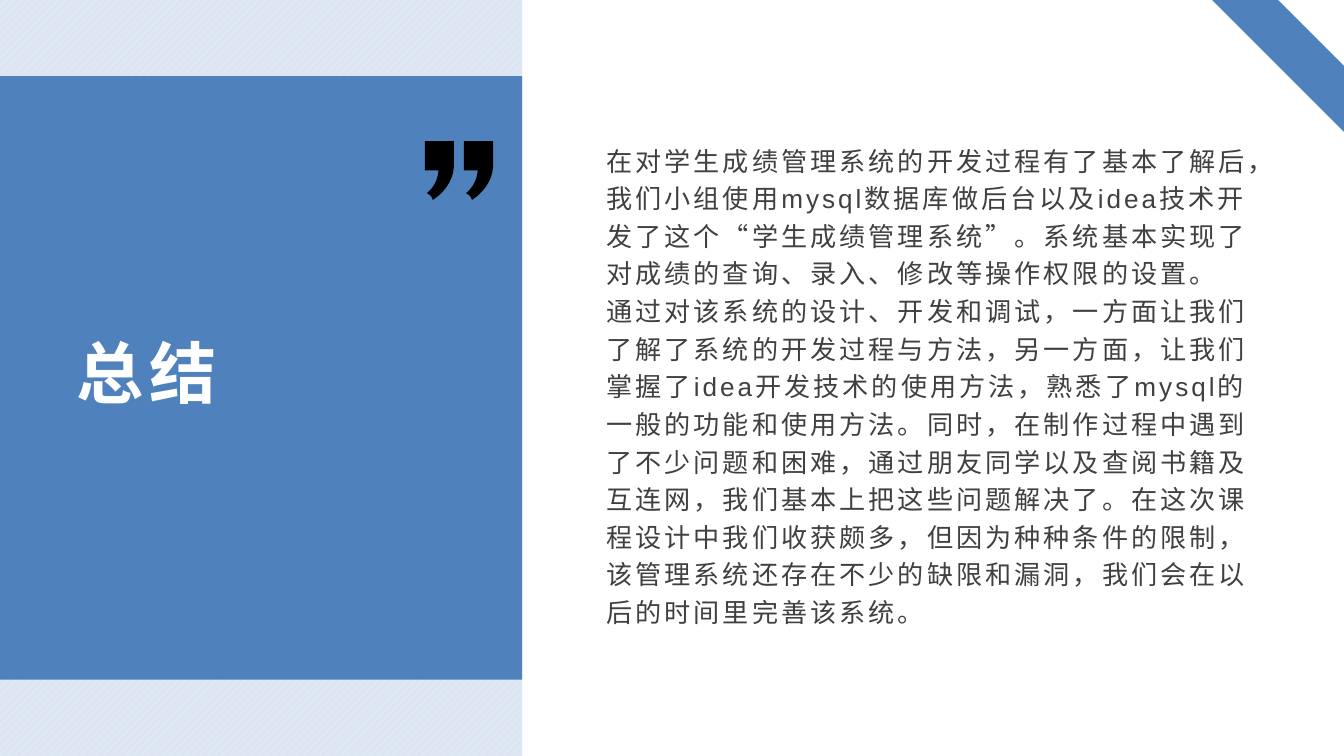
from pptx import Presentation
from pptx.dml.color import RGBColor
from pptx.enum.dml import MSO_PATTERN
from pptx.enum.lang import MSO_LANGUAGE_ID
from pptx.enum.shapes import MSO_SHAPE
from pptx.enum.text import MSO_ANCHOR
from pptx.util import Cm, Pt

RECT = MSO_SHAPE.RECTANGLE
STRIPE = MSO_SHAPE.DIAGONAL_STRIPE
HATCH = MSO_PATTERN.WIDE_UPWARD_DIAGONAL
BOTTOM, MIDDLE = MSO_ANCHOR.BOTTOM, MSO_ANCHOR.MIDDLE
CHINESE = MSO_LANGUAGE_ID.SIMPLIFIED_CHINESE

WIDTH, HEIGHT = 25.4, 14.29
PANEL_WIDTH = 9.87
BLUE, PALE_BLUE, PALE_GREY = "4F81BD", "DCE6F2", "F2F2F2"
WHITE, BLACK, DARK_GREY = "FFFFFF", "000000", "404040"

# The second sentence opens with a no-break space, which stays at the line start
SUMMARY = (
    "在对学生成绩管理系统的开发过程有了基本了解后，我们小组使用mysql数据库做后台以及idea技术"
    "开发了这个“学生成绩管理系统”。系统基本实现了对成绩的查询、录入、修改等操作权限的设置。 "
    " 通过对该系统的设计、开发和调试，一方面让我们了解了系统的开发过程与方法，另一方面，"
    "让我们掌握了idea开发技术的使用方法，熟悉了mysql的一般的功能和使用方法。"
    "同时，在制作过程中遇到了不少问题和困难，通过朋友同学以及查阅书籍及互连网，"
    "我们基本上把这些问题解决了。在这次课程设计中我们收获颇多，但因为种种条件的限制，"
    "该管理系统还存在不少的缺限和漏洞，我们会在以后的时间里完善该系统。"
)


def rgb(value):
    return RGBColor.from_string(value)


def bezier(p0, p1, p2, p3, steps=10):
    """Return points along a cubic curve, without its start."""
    points = []
    for i in range(1, steps + 1):
        t = i / steps
        weights = ((1 - t) ** 3, 3 * t * (1 - t) ** 2, 3 * t * t * (1 - t), t ** 3)
        points.append(tuple(sum(w * p[axis] for w, p in zip(weights, (p0, p1, p2, p3)))
                            for axis in (0, 1)))
    return points


# Outline of one closing quote mark, in cm from its top left corner
QUOTE_MARK = [
    (0.15, 1.11),
    *bezier((0.15, 1.11), (0.13, 1.04), (0.1, 1.02), (0.05, 0.99)),
    (0.04, 0.98),
    *bezier((0.04, 0.98), (0.04, 0.98), (0.24, 0.84), (0.26, 0.55)),
    (0, 0.55), (0, 0), (0.55, 0), (0.55, 0.48),
    *bezier((0.55, 0.48), (0.53, 0.89), (0.15, 1.11), (0.15, 1.11)),
]


class Deck:
    """Holds the presentation style and the current slide."""

    font = "Arial"

    def __init__(self):
        self.prs = Presentation()
        self.prs.slide_width, self.prs.slide_height = Cm(WIDTH), Cm(HEIGHT)
        self.s = self.prs.slides.add_slide(self.prs.slide_layouts[6])

    def plain(self, sp, fill):
        sp.shadow.inherit = False
        sp.line.fill.background()
        sp.fill.solid()
        sp.fill.fore_color.rgb = rgb(fill)
        return sp

    def shape(self, kind, x, y, w, h, fill, flip=False):
        sp = self.s.shapes.add_shape(kind, Cm(x), Cm(y), Cm(w), Cm(h))
        if flip:
            sp.element.spPr.xfrm.set("flipH", "1")
        return self.plain(sp, fill)

    def hatched(self, x, y, w, h, fore, back):
        sp = self.shape(RECT, x, y, w, h, back)
        sp.fill.patterned()
        sp.fill.pattern = HATCH
        sp.fill.fore_color.rgb = rgb(fore)
        sp.fill.back_color.rgb = rgb(back)

    def outline(self, points, x, y, fill):
        start, *rest = [(Cm(x + dx), Cm(y + dy)) for dx, dy in points]
        builder = self.s.shapes.build_freeform(*start)
        builder.add_line_segments(rest, close=True)
        self.plain(builder.convert_to_shape(), fill)

    def text(self, text, x, y, w, h, *, size, color, spacing, anchor,
             bold=False, inset=(0.25, 0.13), after=0):
        tf = self.s.shapes.add_textbox(Cm(x), Cm(y), Cm(w), Cm(h)).text_frame
        tf.word_wrap = True
        tf.vertical_anchor = anchor
        tf.margin_left = tf.margin_right = Cm(inset[0])
        tf.margin_top = tf.margin_bottom = Cm(inset[1])
        p = tf.paragraphs[0]
        p.line_spacing = 1.2
        p.space_after = Pt(after)
        r = p.add_run()
        r.text = text
        r.font.name, r.font.size, r.font.bold = self.font, Pt(size), bold
        r.font.color.rgb = rgb(color)
        r.font.language_id = CHINESE
        r.font._element.set("spc", str(round(spacing * 100)))


def main():
    deck = Deck()
    deck.hatched(0, 0, PANEL_WIDTH, HEIGHT, PALE_GREY, PALE_BLUE)
    deck.shape(RECT, 0, 1.44, PANEL_WIDTH, 11.41, BLUE)
    deck.text("总结", 1.27, 3.5, 7.34, 4.39, size=36, color=WHITE, spacing=3,
              anchor=BOTTOM, bold=True, inset=(0.18, 0.1))
    deck.text(SUMMARY, 11.21, 1.67, 12.78, 11.15, size=14, color=DARK_GREY,
              spacing=1.6, anchor=MIDDLE, after=8)
    deck.shape(STRIPE, WIDTH - 2.49, 0, 2.49, 2.49, BLUE, flip=True)
    for x in (8.77, 8.03):
        deck.outline(QUOTE_MARK, x, 2.67, BLACK)
    deck.prs.save("out.pptx")


if __name__ == "__main__":
    main()
